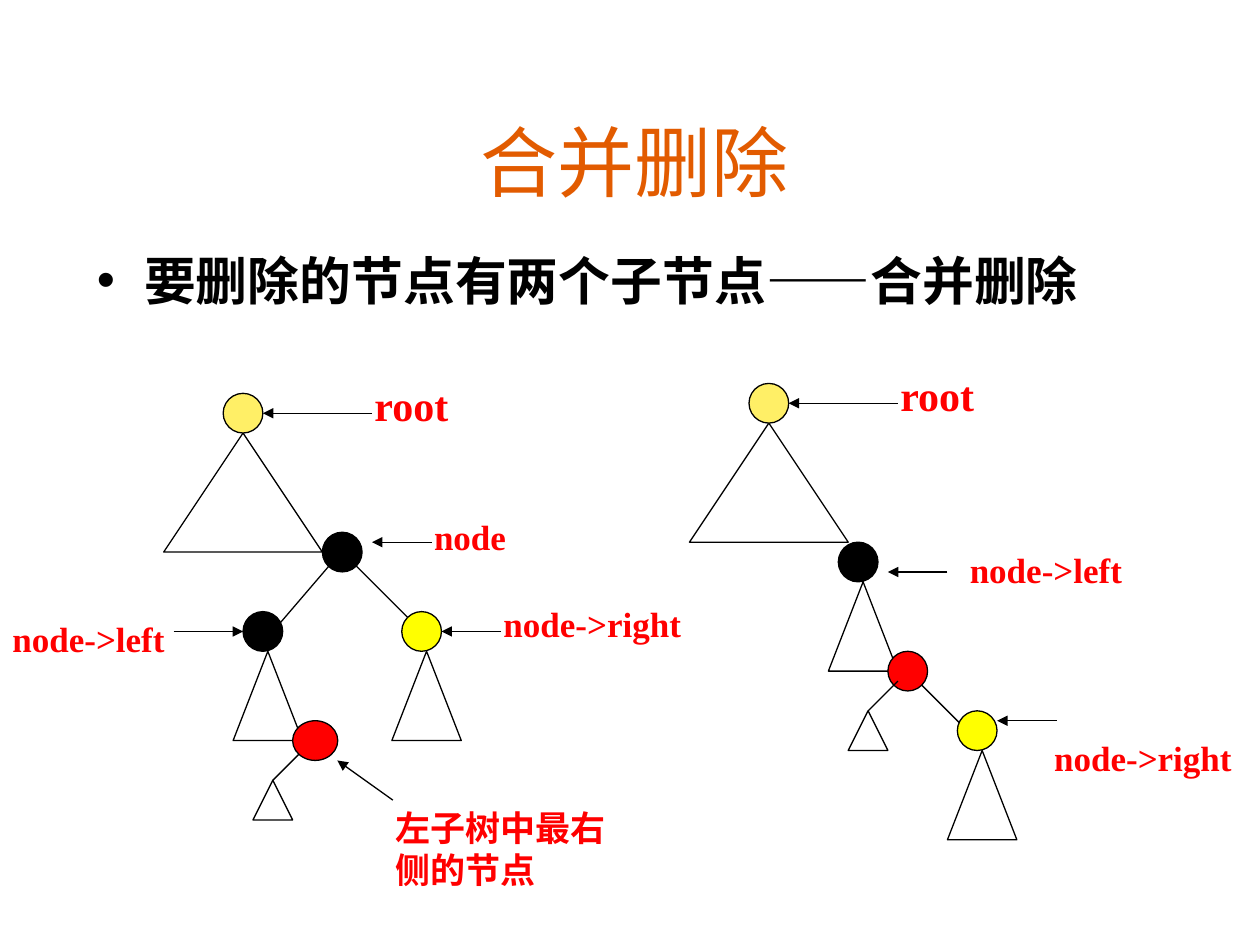
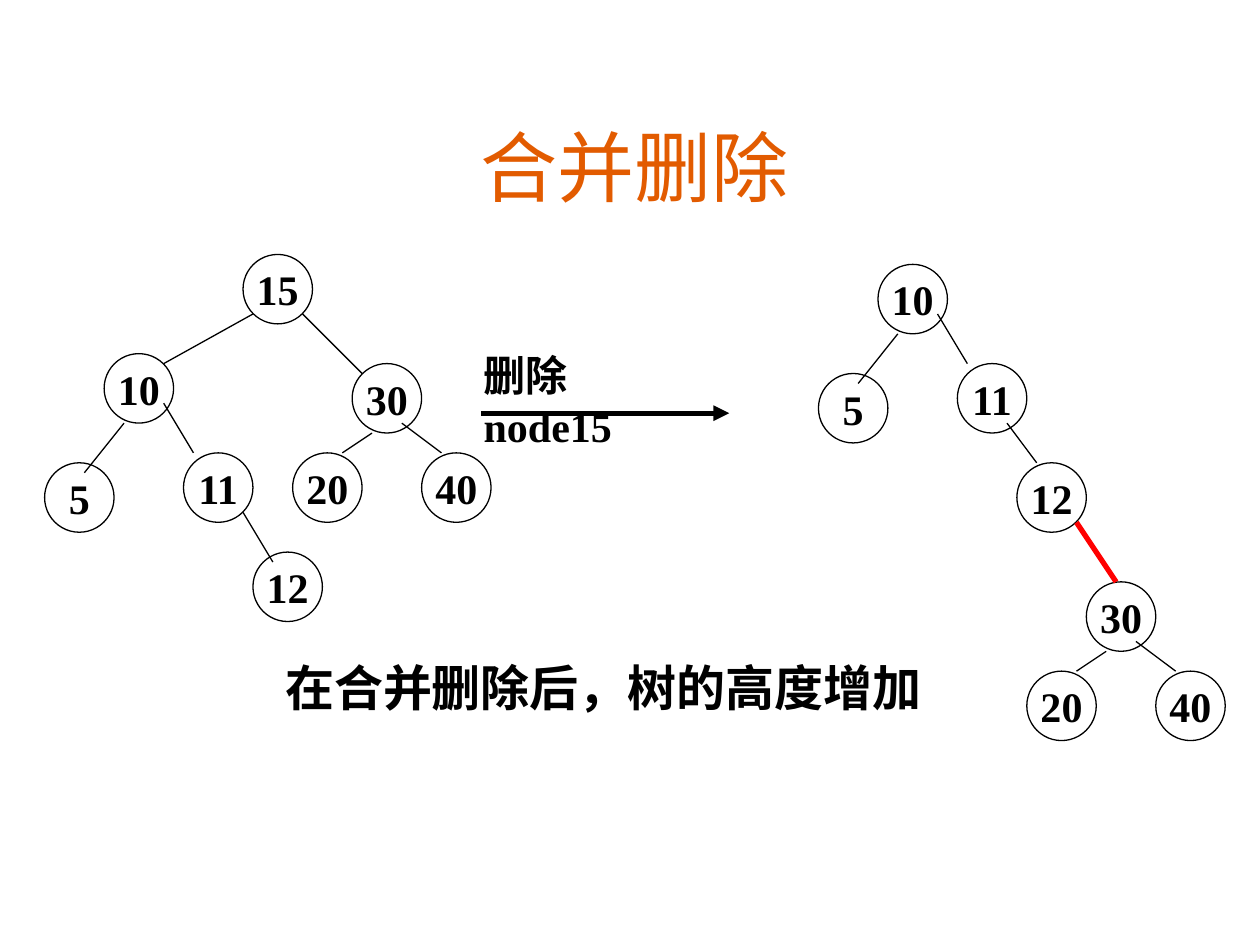
from lxml.etree import SubElement
from pptx import Presentation
from pptx.dml.color import RGBColor
from pptx.enum.shapes import MSO_CONNECTOR as Connector, MSO_SHAPE as Preset
from pptx.enum.text import MSO_ANCHOR as Anchor, MSO_AUTO_SIZE as AutoSize, PP_ALIGN as Align
from pptx.oxml.ns import qn
from pptx.util import Cm, Pt

BLACK, RED, YELLOW, CREAM, ORANGE = "000000", "FF0000", "FFFF00", "FFEF66", "E25B00"
TITLE_FONT, DASH_FONT, LABEL_FONT = "Comic Neue", "Arial", "Times New Roman"
TITLE = "合并删除"
BULLET_RUNS = [("要删除的节点有两个子节点", TITLE_FONT), ("——", DASH_FONT), ("合并删除", TITLE_FONT)]

CIRCLE = 0.8
BIG_TRIANGLE, SUBTREE, TWIG = (3.2, 2.4), (1.4, 1.8), (0.8, 0.8)
ROOT_TREES = [(3.3, 8.73), (13.9, 8.53)]
SUBTREES = [(4.7, 13.13), (7.9, 13.13), (16.7, 11.73), (19.1, 15.13)]
TWIGS = [(5.1, 15.73), (17.1, 14.33)]
BRANCHES = [
    ((6.7, 11.33), (5.5, 12.73)),
    ((7.1, 11.33), (8.3, 12.53)),
    ((6.1, 15.13), (5.5, 15.73)),
    ((18.5, 13.73), (19.7, 14.93)),
]
TWIG_BRANCH = ((18.1, 13.73), (17.5, 14.33))
CIRCLES = [
    (6.5, 10.73, CIRCLE, BLACK),
    (4.9, 12.33, CIRCLE, BLACK),
    (8.1, 12.33, CIRCLE, YELLOW),
    (5.9, 14.53, 0.91, RED),
    (16.9, 10.93, CIRCLE, BLACK),
    (17.9, 13.13, CIRCLE, RED),
    (19.3, 14.33, CIRCLE, YELLOW),
]
LABELS = [
    ("node", (8.5, 10.26, 2.6, 1.12)),
    ("node->left", (0, 12.32, 3.9, 1.12)),
    ("node->right", (9.9, 12.02, 4.4, 1.12)),
    ("左子树中最右侧的节点", (7.72, 16.13, 4.98, 1.96)),
    ("node->left", (19.3, 10.93, 3.9, 1.12)),
    ("node->right", (21, 14.73, 4.4, 1.12)),
]
POINTERS = [
    ((8.7, 10.93), (7.5, 10.93)),
    ((3.5, 12.73), (4.9, 12.73)),
    ((10.1, 12.73), (8.9, 12.73)),
    ((7.92, 16.13), (6.8, 15.33)),
    ((19.1, 11.53), (17.9, 11.53)),
    ((21.3, 14.53), (20.1, 14.53)),
]

NODE = 1.4
LEFT_SUBTREE = {
    "nodes": [("10", 0, 0), ("5", -1.2, 2.2), ("11", 1.6, 2)],
    "edges": [((0.4, 1.4), (-0.4, 2.4)), ((1.2, 1), (1.8, 2))],
}
RIGHT_SUBTREE = {
    "nodes": [("30", 0, 0), ("20", -1.2, 1.8), ("40", 1.4, 1.8)],
    "edges": [((0.4, 1.4), (-0.2, 1.8)), ((1, 1.2), (1.8, 1.8))],
}
BEFORE_TOP = {
    "nodes": [("15", 4.9, 5.13), ("12", 5.1, 11.13)],
    "edges": [((5.1, 6.33), (3.3, 7.33)), ((6.1, 6.33), (7.3, 7.53)), ((4.9, 10.33), (5.5, 11.33))],
}
AFTER_EXTRA = {"nodes": [("12", 20.5, 9.33)], "edges": [((20.3, 8.53), (20.9, 9.33))]}
PLACED_TREES = [
    (BEFORE_TOP, 0, 0),
    (LEFT_SUBTREE, 2.1, 7.13),
    (RIGHT_SUBTREE, 7.1, 7.33),
    (LEFT_SUBTREE, 17.7, 5.33),
    (AFTER_EXTRA, 0, 0),
    (RIGHT_SUBTREE, 21.9, 11.73),
]
MERGE_EDGE = ((21.7, 10.53), (22.5, 11.73))
DELETE_ARROW = ((9.7, 8.33), (14.7, 8.33))


def color(value):
    """Turn a hex string into a colour."""
    return RGBColor.from_string(value)


def add_run(paragraph, text, size, font, hue, bold=True):
    """Add one formatted run."""
    run = paragraph.add_run()
    run.text = text
    run.font.size, run.font.name, run.font.bold = Pt(size), font, bold
    run.font.color.rgb = color(hue)


def place(shape, left, top, width, height):
    """Move and size a shape, in centimetres."""
    shape.left, shape.top, shape.width, shape.height = map(Cm, (left, top, width, height))


def add_slide(presentation, layout, title_top):
    """Add a slide with the shared title."""
    slide = presentation.slides.add_slide(presentation.slide_layouts[layout])
    title = slide.shapes.title
    place(title, 1.9, title_top, 21.8, 2.1)
    frame = title.text_frame
    frame.auto_size, frame.vertical_anchor = AutoSize.NONE, Anchor.BOTTOM
    paragraph = frame.paragraphs[0]
    paragraph.alignment = Align.CENTER
    add_run(paragraph, TITLE, 44, TITLE_FONT, ORANGE, False)
    return slide


def add_outline(slide, preset, left, top, width, height, fill=None):
    """Add a thin black outlined shape, filled if a colour is given."""
    shape = slide.shapes.add_shape(preset, Cm(left), Cm(top), Cm(width), Cm(height))
    shape.shadow.inherit = False
    shape.line.color.rgb, shape.line.width = color(BLACK), Pt(0.75)
    if fill:
        shape.fill.solid()
        shape.fill.fore_color.rgb = color(fill)
    else:
        shape.fill.background()
    return shape


def add_line(slide, start, end, arrow=False, hue=BLACK, width=0.75):
    """Add a straight line, with an arrowhead at its end on request."""
    line = slide.shapes.add_connector(Connector.STRAIGHT, *map(Cm, (*start, *end)))
    line.line.color.rgb, line.line.width = color(hue), Pt(width)
    properties = line._element.spPr
    if arrow:
        SubElement(properties.find(qn("a:ln")), qn("a:tailEnd"), type="triangle")
    SubElement(properties, qn("a:effectLst"))


def add_label(slide, text, box, size, hue):
    """Add a wrapped bold text box."""
    frame = slide.shapes.add_textbox(*map(Cm, box)).text_frame
    frame.word_wrap, frame.auto_size = True, AutoSize.SHAPE_TO_FIT_TEXT
    paragraph = frame.paragraphs[0]
    paragraph.space_before = Pt(size * 0.625)
    add_run(paragraph, text, size, LABEL_FONT, hue)


def add_root(slide, left, top):
    """Draw a root node above its tree, with its label and pointer."""
    add_outline(slide, Preset.ISOSCELES_TRIANGLE, left, top, *BIG_TRIANGLE)
    add_outline(slide, Preset.OVAL, left + 1.2, top - CIRCLE, CIRCLE, CIRCLE, CREAM)
    add_label(slide, "root", (left + 4, top - 1.2, 2.6, 1.27), 24, RED)
    add_line(slide, (left + 4.2, top - 0.4), (left + 2, top - 0.4), arrow=True)


def add_tree(slide, tree, left, top):
    """Draw numbered nodes and their edges from one corner."""
    for number, across, down in tree["nodes"]:
        node = add_outline(slide, Preset.OVAL, left + across, top + down, NODE, NODE)
        frame = node.text_frame
        frame.word_wrap, frame.vertical_anchor = False, Anchor.MIDDLE
        paragraph = frame.paragraphs[0]
        paragraph.alignment = Align.CENTER
        add_run(paragraph, number, 24, LABEL_FONT, BLACK)
    for edge in tree["edges"]:
        add_line(slide, *[(left + across, top + down) for across, down in edge])


def build_principle(presentation):
    """Build the slide that explains deletion by merging."""
    slide = add_slide(presentation, 1, 2.2)
    body = slide.placeholders[1]
    place(body, 1.7, 4.88, 21.8, 2.03)
    body.text_frame.auto_size = AutoSize.NONE
    paragraph = body.text_frame.paragraphs[0]
    paragraph.space_before = Pt(8)
    for text, font in BULLET_RUNS:
        add_run(paragraph, text, 29.6, font, BLACK)
    for corner in ROOT_TREES:
        add_root(slide, *corner)
    for corners, size in ((SUBTREES, SUBTREE), (TWIGS, TWIG)):
        for corner in corners:
            add_outline(slide, Preset.ISOSCELES_TRIANGLE, *corner, *size)
    for branch in BRANCHES:
        add_line(slide, *branch)
    for left, top, width, fill in CIRCLES:
        add_outline(slide, Preset.OVAL, left, top, width, CIRCLE, fill)
    add_line(slide, *TWIG_BRANCH)
    for text, box in LABELS:
        add_label(slide, text, box, 20, RED)
    for pointer in POINTERS:
        add_line(slide, *pointer, arrow=True)


def build_example(presentation):
    """Build the slide that deletes node 15 from a tree."""
    slide = add_slide(presentation, 5, 2.3)
    add_line(slide, *DELETE_ARROW, arrow=True, width=3)
    add_label(slide, "删除node15", (9.5, 6.93, 4.75, 2.29), 24, BLACK)
    for tree, left, top in PLACED_TREES:
        add_tree(slide, tree, left, top)
    add_line(slide, *MERGE_EDGE, hue=RED, width=3)
    add_label(slide, "在合并删除后，树的高度增加", (5.5, 13.13, 16.2, 1.45), 28, BLACK)


def main():
    """Build and save the presentation."""
    presentation = Presentation()
    presentation.slide_width, presentation.slide_height = Cm(25.4), Cm(19.05)
    build_principle(presentation)
    build_example(presentation)
    presentation.save("out.pptx")


if __name__ == "__main__":
    main()
